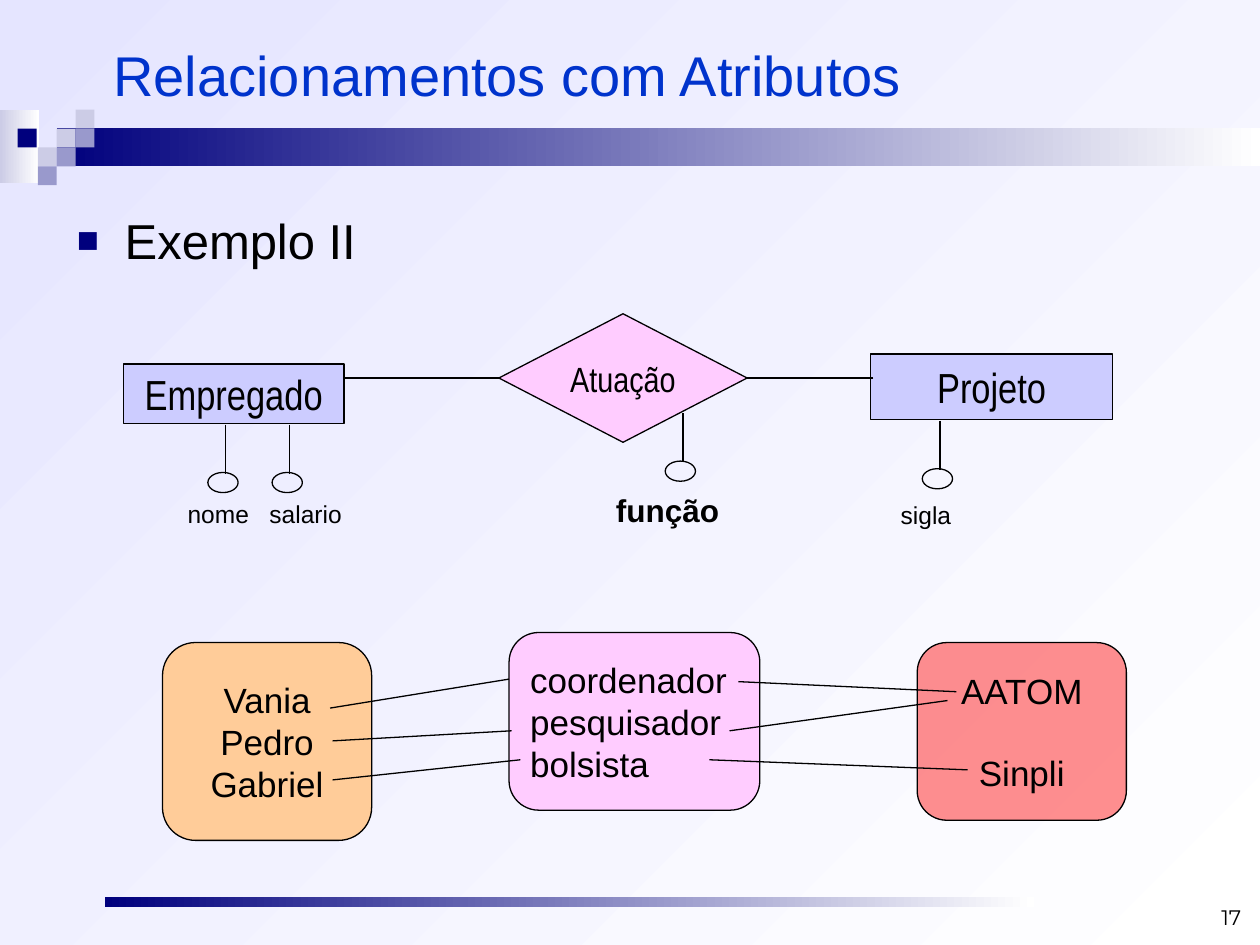
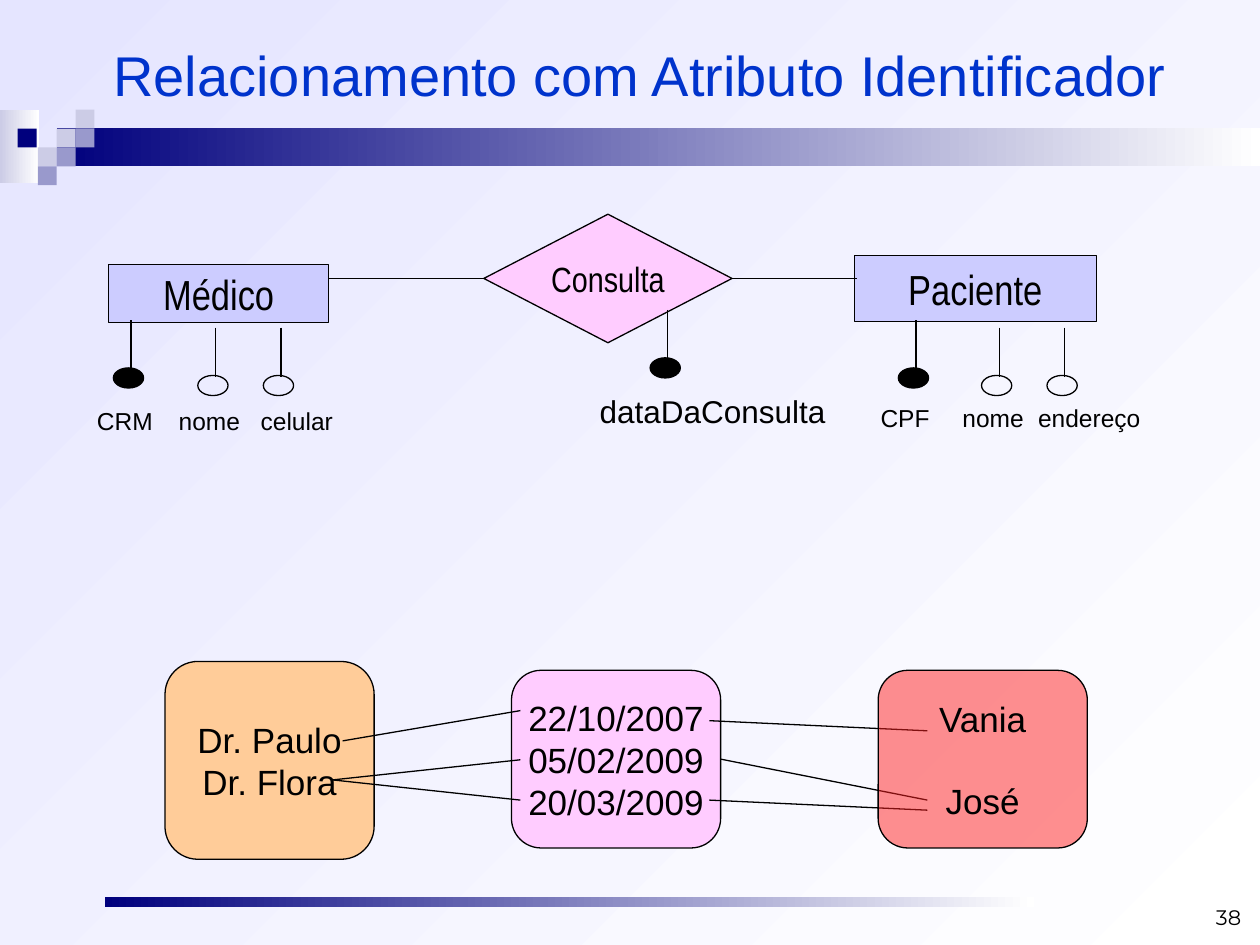
"""Build two slides on relationships with attributes in entity-relationship models."""
from dataclasses import dataclass

from lxml import etree
from pptx import Presentation
from pptx.dml.color import RGBColor
from pptx.enum.shapes import MSO_CONNECTOR, MSO_SHAPE
from pptx.enum.text import MSO_ANCHOR, MSO_AUTO_SIZE, PP_ALIGN
from pptx.oxml.ns import qn
from pptx.util import Inches, Pt

RECTANGLE = MSO_SHAPE.RECTANGLE
ROUNDED = MSO_SHAPE.ROUNDED_RECTANGLE
DIAMOND = MSO_SHAPE.FLOWCHART_DECISION
OVAL = MSO_SHAPE.OVAL
STRAIGHT = MSO_CONNECTOR.STRAIGHT
LEFT, CENTER, RIGHT = PP_ALIGN.LEFT, PP_ALIGN.CENTER, PP_ALIGN.RIGHT
TOP, MIDDLE, BOTTOM = MSO_ANCHOR.TOP, MSO_ANCHOR.MIDDLE, MSO_ANCHOR.BOTTOM
NO_AUTO_SIZE = MSO_AUTO_SIZE.NONE
LEFT_SIDE, RIGHT_SIDE = 1, 3

BLACK, WHITE, NAVY, TITLE_BLUE = "000000", "FFFFFF", "00007D", "0033CC"
PALE, MID, BACKDROP = "CCCCE6", "9999CC", "E5E5FF"
ENTITY_BLUE, PINK, ORANGE, RED = "CCCCFF", "FFCCFF", "FFCC99", "FF2121"
SANS, NARROW, NUMBER_FONT = "Arial", "Arial Narrow", "Montserrat"
TILE = 0.15
TILES = [(0.45, 1.02, PALE), (0.6, 0.87, PALE), (0.6, 1.02, MID), (0.3, 1.17, PALE),
         (0.14, 1.02, NAVY), (0.45, 1.17, MID), (0.3, 1.32, MID)]
BANDS = [((0, 0.87, 0.31, 0.58), PALE), ((0.45, 1.02, 9.55, 0.3), NAVY),
         ((0.83, 7.12, 7.38, 0.08), NAVY)]


@dataclass
class Node:
    """A filled shape with lines of text."""
    kind: int
    box: tuple
    fill: str
    lines: list
    size: int = 20
    font: str = SANS
    align: int = CENTER
    alpha: int = 100
    last_gap: int = 0


@dataclass
class Attribute:
    """A stem ending in a circle, with its label."""
    x: float
    top: float
    label: str
    label_left: float
    label_top: float
    label_width: float
    identifier: bool = False
    size: int = 14
    bold: bool = False


def color(value: str) -> RGBColor:
    """Turn a hex string into a colour."""
    return RGBColor.from_string(value)


def lengths(box: tuple) -> list:
    """Turn numbers into lengths in inches."""
    return [Inches(number) for number in box]


def set_gradient(fill, end: str, angle: int) -> None:
    """Fill with a gradient from white to the end colour."""
    fill.gradient()
    fill.gradient_angle = angle
    for stop, value in zip(fill.gradient_stops, (WHITE, end)):
        stop.color.rgb = color(value)


def write(frame, lines: list, size: int, font: str = SANS, ink: str = BLACK,
          align: int = LEFT, anchor: int = TOP, bold: bool = False, wrap: bool = True) -> None:
    """Write formatted lines, one paragraph each."""
    frame.auto_size = NO_AUTO_SIZE
    frame.word_wrap = wrap
    frame.vertical_anchor = anchor
    for index, line in enumerate(lines):
        paragraph = frame.add_paragraph() if index else frame.paragraphs[0]
        paragraph.alignment = align
        run = paragraph.add_run()
        run.text = line
        run.font.size, run.font.name, run.font.bold = Pt(size), font, bold
        run.font.color.rgb = color(ink)


def add_block(slide, kind: int, box: tuple, fill: str = "", outlined: bool = True):
    """Add a shape without shadow, empty or filled, with or without an outline."""
    shape = slide.shapes.add_shape(kind, *lengths(box))
    shape.shadow.inherit = False
    if fill:
        shape.fill.solid()
        shape.fill.fore_color.rgb = color(fill)
    else:
        shape.fill.background()
    if outlined:
        shape.line.color.rgb = color(BLACK)
        shape.line.width = Pt(0.75)
    else:
        shape.line.fill.background()
    return shape


def add_node(slide, node: Node):
    """Draw a node and its text."""
    shape = add_block(slide, node.kind, node.box, node.fill)
    if node.alpha < 100:
        fill_color = shape.element.spPr.find(qn("a:solidFill")).find(qn("a:srgbClr"))
        etree.SubElement(fill_color, qn("a:alpha"), val=str(node.alpha * 1000))
    write(shape.text_frame, node.lines, node.size, node.font, align=node.align,
          anchor=MIDDLE, wrap=False)
    if node.last_gap:
        shape.text_frame.paragraphs[-1].space_before = Pt(node.last_gap)
    return shape


def add_line(slide, start: tuple, end: tuple):
    """Draw a thin black line."""
    connector = slide.shapes.add_connector(STRAIGHT, *lengths(start + end))
    connector.line.color.rgb = color(BLACK)
    connector.line.width = Pt(0.75)
    etree.SubElement(connector.element.spPr, qn("a:effectLst"))
    return connector


def add_text(slide, box: tuple, text: str, size: int, **style) -> None:
    """Add a text box with one line."""
    write(slide.shapes.add_textbox(*lengths(box)).text_frame, [text], size, **style)


def add_attribute(slide, attribute: Attribute) -> None:
    """Draw an attribute; an identifier has a solid circle."""
    x, top = attribute.x, attribute.top
    add_line(slide, (x, top), (x, top + 0.39))
    add_block(slide, OVAL, (x - 0.14, top + 0.38, 0.24, 0.16),
              BLACK if attribute.identifier else "")
    height = 0.34 if attribute.size == 14 else 0.4
    add_text(slide, (attribute.label_left, attribute.label_top, attribute.label_width, height),
             attribute.label, attribute.size, bold=attribute.bold, wrap=False)


def add_relationship(slide, left: Node, right: Node, diamond: Node) -> None:
    """Draw two entities joined through a diamond."""
    for entity in (left, right):
        add_node(slide, entity)
    shape = add_node(slide, diamond)
    middle = diamond.box[1] + diamond.box[3] / 2
    for x, side in ((left.box[0] + left.box[2], LEFT_SIDE), (right.box[0] + 0.02, RIGHT_SIDE)):
        connector = add_line(slide, (x, middle), (x, middle))
        connector.end_connect(shape, side)


def entity(name: str, box: tuple) -> Node:
    """Describe an entity."""
    return Node(RECTANGLE, box, ENTITY_BLUE, [name], 24, NARROW)


def relationship(name: str, left: float, top: float) -> Node:
    """Describe a relationship diamond."""
    return Node(DIAMOND, (left, top, 1.97, 1.02), PINK, [name], 20, NARROW)


def start_slide(presentation, layout: int, title: str, number: str):
    """Add a slide with the shared background, bands, title and number."""
    slide = presentation.slides.add_slide(presentation.slide_layouts[layout])
    set_gradient(slide.background.fill, BACKDROP, 135)
    for box, end in BANDS:
        band = add_block(slide, RECTANGLE, box, outlined=False)
        set_gradient(band.fill, end, 180)
    for left, top, fill in TILES:
        add_block(slide, RECTANGLE, (left, top, TILE, TILE), fill, outlined=False)
    heading = slide.shapes.title
    heading.left, heading.top, heading.width, heading.height = lengths((0.8, 0.13, 9, 0.91))
    write(heading.text_frame, [title], 32, ink=TITLE_BLUE, anchor=MIDDLE)
    add_text(slide, (7.62, 6.93, 2.33, 0.5), number, 12, font=NUMBER_FONT,
             align=RIGHT, anchor=BOTTOM)
    return slide


def fill_body(slide, text: str) -> None:
    """Write the bulleted line in the body placeholder."""
    body = slide.placeholders[1]
    body.left, body.top, body.width, body.height = lengths((0.51, 1.62, 9, 5.04))
    write(body.text_frame, [text], 28)
    paragraph = body.text_frame.paragraphs[0]
    paragraph.space_before = Pt(7)
    properties = paragraph._p.get_or_add_pPr()
    properties.set("marL", str(Inches(0.38)))
    properties.set("indent", str(Inches(-0.38)))
    bullet_color = etree.SubElement(properties, qn("a:buClr"))
    etree.SubElement(bullet_color, qn("a:srgbClr"), val=NAVY)
    etree.SubElement(properties, qn("a:buSzPct"), val="75000")
    etree.SubElement(properties, qn("a:buFont"), typeface=SANS)
    etree.SubElement(properties, qn("a:buChar"), char="■")


def build_attributes_slide(presentation) -> None:
    """Build the slide on relationships with attributes."""
    slide = start_slide(presentation, 1, "Relacionamentos com Atributos", "17")
    fill_body(slide, "Exemplo II")
    add_relationship(slide, entity("Empregado", (0.98, 2.89, 1.75, 0.47)),
                     entity("Projeto", (6.91, 2.81, 1.92, 0.52)),
                     relationship("Atuação", 3.96, 2.49))
    for attribute in (
            Attribute(5.42, 3.28, "função", 4.79, 3.85, 1.02, size=18, bold=True),
            Attribute(1.79, 3.37, "nome", 1.39, 3.91, 0.69),
            Attribute(2.3, 3.37, "salario", 2.04, 3.91, 0.78),
            Attribute(7.46, 3.34, "sigla", 7.05, 3.92, 0.6)):
        add_attribute(slide, attribute)
    for node in (
            Node(ROUNDED, (1.29, 5.1, 1.66, 1.57), ORANGE, ["Vania", "Pedro", "Gabriel"]),
            Node(ROUNDED, (7.28, 5.1, 1.66, 1.41), RED, ["AATOM", "Sinpli"],
                 alpha=50, last_gap=23),
            Node(ROUNDED, (4.04, 5.02, 1.99, 1.41), PINK,
                 ["coordenador", "pesquisador", "bolsista"], align=LEFT)):
        add_node(slide, node)
    for start, end in (
            ((2.62, 5.62), (4.04, 5.39)), ((7.59, 5.49), (5.86, 5.41)),
            ((2.64, 5.88), (4.06, 5.8)), ((7.52, 5.56), (5.79, 5.8)),
            ((2.64, 6.19), (4.13, 6.03)), ((5.63, 6.03), (7.68, 6.11))):
        add_line(slide, start, end)


def build_identifier_slide(presentation) -> None:
    """Build the slide on relationships with an identifying attribute."""
    slide = start_slide(presentation, 5, "Relacionamento com Atributo Identificador", "38")
    add_node(slide, Node(ROUNDED, (1.31, 5.25, 1.66, 1.57), ORANGE, ["Dr. Paulo", "Dr. Flora"]))
    dates = add_node(slide, Node(ROUNDED, (4.06, 5.32, 1.66, 1.41), PINK,
                                 ["22/10/2007", "05/02/2009", "20/03/2009"]))
    add_relationship(slide, entity("Médico", (0.86, 2.1, 1.75, 0.46)),
                     entity("Paciente", (6.78, 2.03, 1.92, 0.52)),
                     relationship("Consulta", 3.84, 1.7))
    for attribute in (
            Attribute(5.3, 2.46, "dataDaConsulta", 4.66, 3.06, 1.99, True, 18),
            Attribute(1.04, 2.54, "CRM", 0.67, 3.17, 0.65, True),
            Attribute(1.71, 2.6, "nome", 1.32, 3.17, 0.69),
            Attribute(2.23, 2.6, "celular", 1.97, 3.17, 0.78),
            Attribute(7.27, 2.54, "CPF", 6.89, 3.15, 0.6, True),
            Attribute(7.93, 2.6, "nome", 7.54, 3.15, 0.69),
            Attribute(8.45, 2.6, "endereço", 8.14, 3.15, 1.02)):
        add_attribute(slide, attribute)
    for start, end in (
            ((2.72, 5.88), (4.13, 5.64)), ((7.36, 5.8), (5.63, 5.72)),
            ((2.64, 6.19), (4.13, 6.03)), ((2.64, 6.19), (4.13, 6.35)),
            ((7.36, 6.43), (5.63, 6.35))):
        add_line(slide, start, end)
    add_line(slide, (7.36, 6.35), (5.72, 6.03)).end_connect(dates, RIGHT_SIDE)
    add_node(slide, Node(ROUNDED, (6.97, 5.32, 1.66, 1.41), RED, ["Vania", "José"],
                         alpha=50, last_gap=23))


def main() -> None:
    """Build and save the presentation."""
    presentation = Presentation()
    presentation.slide_width, presentation.slide_height = Inches(10), Inches(7.5)
    build_attributes_slide(presentation)
    build_identifier_slide(presentation)
    presentation.save("out.pptx")


if __name__ == "__main__":
    main()
